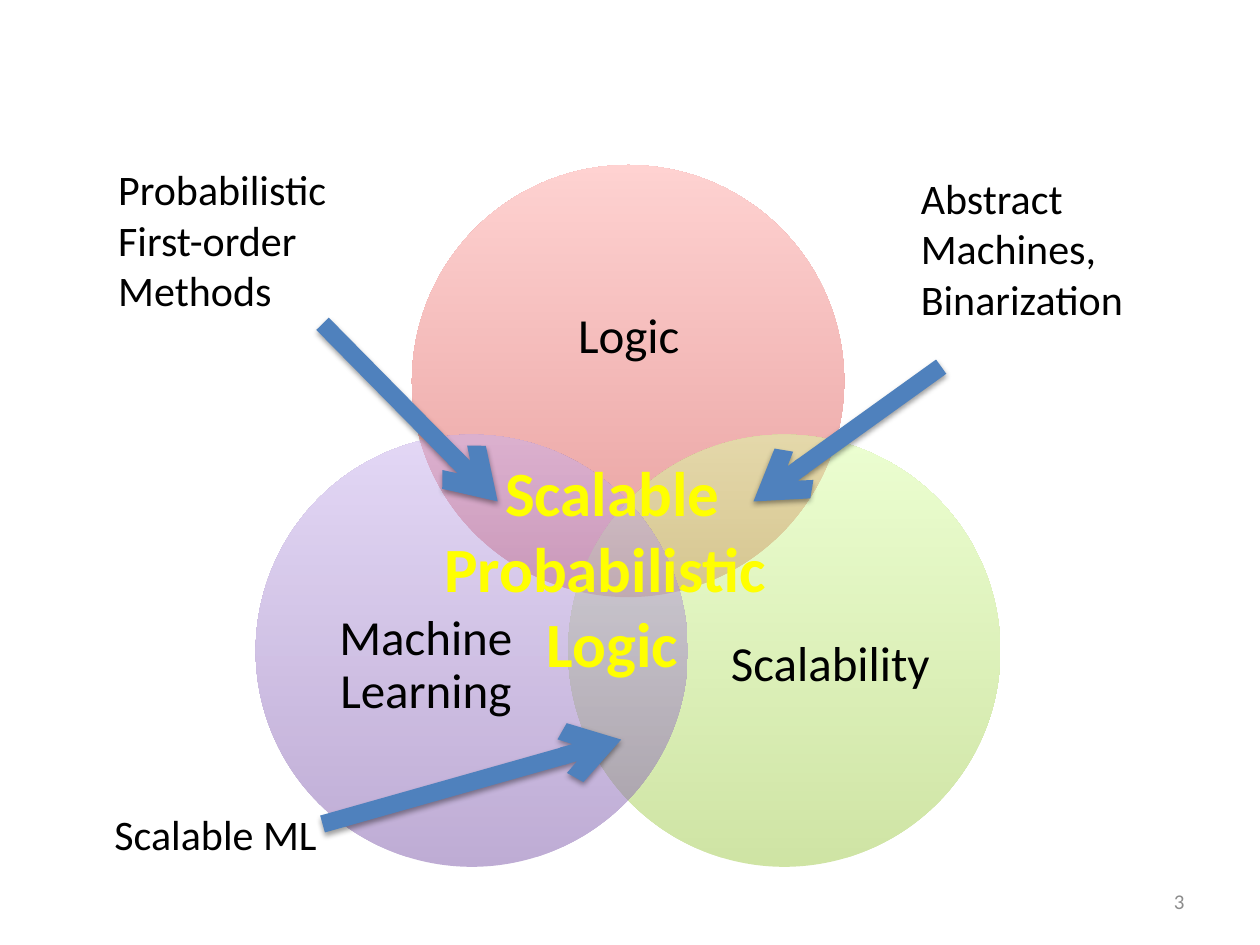
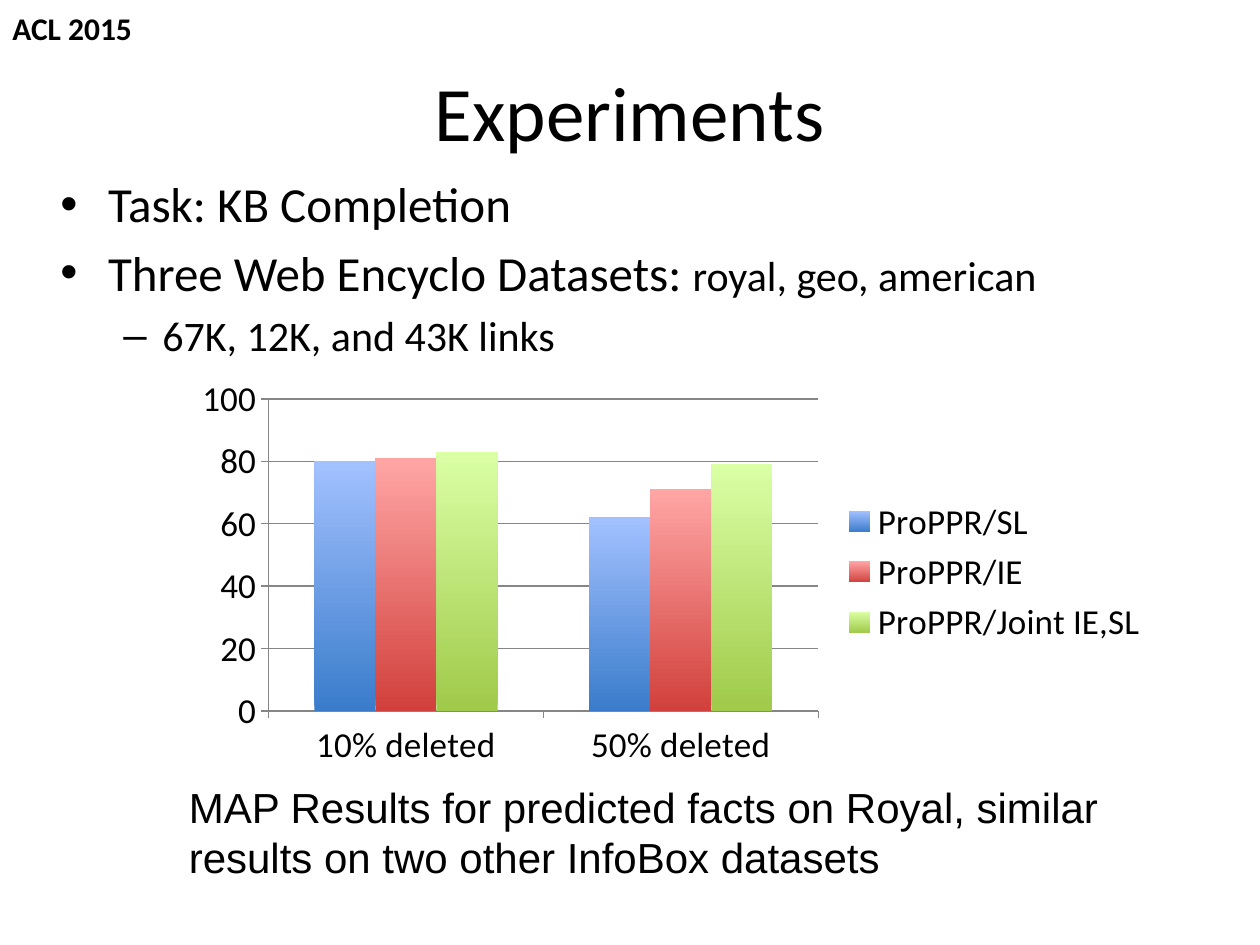
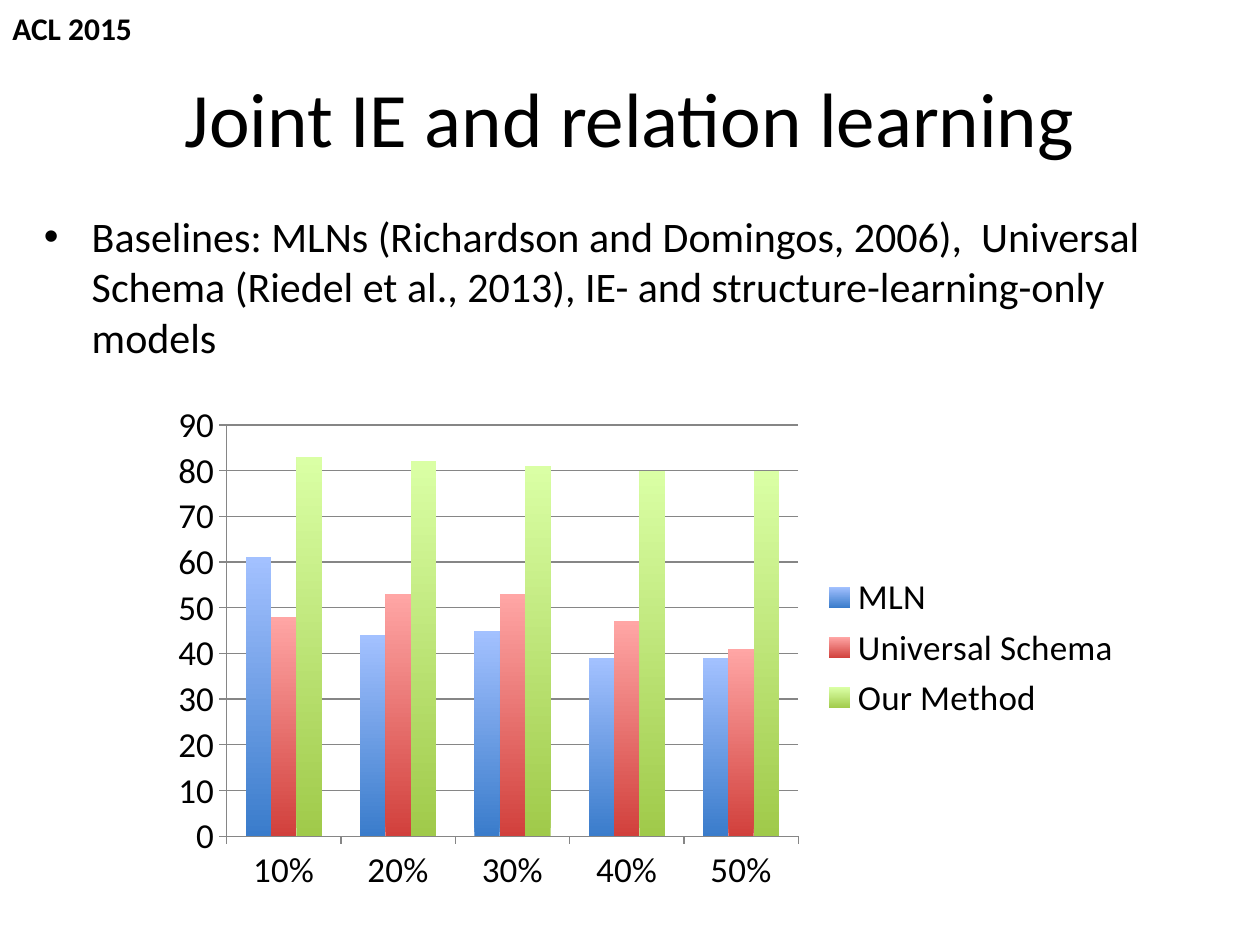
import lxml.etree
import pptx
import pptx.chart.data
import pptx.dml.color
import pptx.enum.chart
import pptx.enum.shapes
import pptx.enum.text
import pptx.oxml.ns
import pptx.util

RGBColor = pptx.dml.color.RGBColor
BLACK = RGBColor(0x00, 0x00, 0x00)
YELLOW = RGBColor(0xFF, 0xFF, 0x00)
GRAY = RGBColor(0x8C, 0x8C, 0x8C)
GRID_GRAY = RGBColor(0x86, 0x86, 0x86)
ARROW_BLUE = RGBColor(0x4F, 0x81, 0xBD)
BLUES = (RGBColor(0x3A, 0x7C, 0xCB), RGBColor(0xA3, 0xC1, 0xFF))
REDS = (RGBColor(0xD1, 0x40, 0x3C), RGBColor(0xFF, 0xA6, 0xA5))
GREENS = (RGBColor(0xA0, 0xCA, 0x4A), RGBColor(0xDA, 0xFF, 0xA5))
PURPLES = (RGBColor(0x7F, 0x5B, 0xAB), RGBColor(0xC8, 0xB0, 0xED))

CENTER = pptx.enum.text.PP_ALIGN.CENTER
RIGHT = pptx.enum.text.PP_ALIGN.RIGHT
TOP = pptx.enum.text.MSO_ANCHOR.TOP
MIDDLE = pptx.enum.text.MSO_ANCHOR.MIDDLE

PX_PER_INCH = 100
EMU_PER_PX = 914400 // PX_PER_INCH
BULLETS = (("•", 38, -38), ("–", 81, -31))


def px(length):
    return pptx.util.Emu(length * EMU_PER_PX)


def add_element(parent, tag, **attributes):
    element = lxml.etree.SubElement(parent, pptx.oxml.ns.qn(tag))
    for name, value in attributes.items():
        element.set(name, str(value))
    return element


def add_shadow(properties, blur, distance, direction, alpha):
    effects = add_element(properties, "a:effectLst")
    shadow = add_element(effects, "a:outerShdw", blurRad=blur, dist=distance,
                         dir=direction * 60000, rotWithShape=0)
    color = add_element(shadow, "a:srgbClr", val="000000")
    add_element(color, "a:alpha", val=alpha * 1000)


def fill_gradient(fill, colors, alpha=100):
    fill.gradient()
    fill.gradient_angle = 90
    for stop, color in zip(fill.gradient_stops, colors):
        stop.color.rgb = color
    if alpha < 100:
        for color in fill._xPr.iter(pptx.oxml.ns.qn("a:srgbClr")):
            add_element(color, "a:alpha", val=alpha * 1000)


def write_text(paragraph, text, size=24, font="Calibri", color=BLACK, bold=False,
               alignment=None, line_spacing=None, indent=0, shadow=False):
    if alignment is not None:
        paragraph.alignment = alignment
    if line_spacing is not None:
        paragraph.line_spacing = line_spacing
    if indent:
        paragraph._p.get_or_add_pPr().set("marL", str(px(indent)))
    run = paragraph.add_run()
    run.text = text
    run.font.size = pptx.util.Pt(size)
    run.font.bold = bold
    run.font.color.rgb = color
    if shadow:
        add_shadow(run._r.get_or_add_rPr(), 50800, 38100, 45, 50)
    run.font.name = font


class Deck:
    def __init__(self):
        self.presentation = pptx.Presentation()
        self.presentation.slide_width = px(1000)
        self.presentation.slide_height = px(750)
        self.slide = None

    def add_blank_slide(self):
        self.slide = self.presentation.slides.add_slide(self.presentation.slide_layouts[6])

    def add_titled_slide(self, title, top):
        self.slide = self.presentation.slides.add_slide(self.presentation.slide_layouts[5])
        shape = self.slide.shapes.title
        shape.left, shape.top, shape.width, shape.height = map(px, (50, top, 900, 125))
        shape.text_frame.vertical_anchor = MIDDLE
        write_text(shape.text_frame.paragraphs[0], title, size=44, alignment=CENTER)
        self.add_text((0, 2, 116, 40), "ACL 2015", wrap=False, size=18, bold=True)

    def add_frame(self, box, anchor=TOP, wrap=True):
        frame = self.slide.shapes.add_textbox(*map(px, box)).text_frame
        frame.word_wrap = wrap
        frame.vertical_anchor = anchor
        return frame

    def add_text(self, box, *lines, anchor=TOP, wrap=True, inset=True, **text_format):
        frame = self.add_frame(box, anchor, wrap)
        if not inset:
            frame.margin_left = frame.margin_right = 0
            frame.margin_top = frame.margin_bottom = 0
        for index, line in enumerate(lines):
            paragraph = frame.add_paragraph() if index else frame.paragraphs[0]
            write_text(paragraph, line, **text_format)

    def add_bullets(self, box, *items):
        frame = self.add_frame(box)
        for index, (level, *runs) in enumerate(items):
            paragraph = frame.add_paragraph() if index else frame.paragraphs[0]
            paragraph.level = level
            character, margin, indent = BULLETS[level]
            properties = paragraph._p.get_or_add_pPr()
            properties.set("marL", str(px(margin)))
            properties.set("indent", str(px(indent)))
            add_element(properties, "a:buFont", typeface="Arial")
            add_element(properties, "a:buChar", char=character)
            if index:
                paragraph.space_before = pptx.util.Pt(round(runs[0][1] * 0.2, 1))
            for text, size in runs:
                write_text(paragraph, text, size=size)

    def add_circle(self, left, top, diameter, colors, label, label_box):
        shape = self.slide.shapes.add_shape(
            pptx.enum.shapes.MSO_SHAPE.OVAL, *map(px, (left, top, diameter, diameter)))
        shape.shadow.inherit = False
        shape.line.fill.background()
        fill_gradient(shape.fill, colors, alpha=50)
        self.add_text(label_box, label, anchor=MIDDLE, inset=False, size=28,
                      alignment=CENTER, line_spacing=0.9)

    def add_arrow(self, start, end):
        connector = self.slide.shapes.add_connector(
            pptx.enum.shapes.MSO_CONNECTOR.STRAIGHT, *map(px, (*start, *end)))
        connector.line.color.rgb = ARROW_BLUE
        connector.line.width = pptx.util.Pt(10)
        add_element(connector.line._get_or_add_ln(), "a:tailEnd", type="arrow")
        add_shadow(connector._element.spPr, 40000, 20000, 90, 38)

    def add_column_chart(self, box, categories, series_values, maximum, step):
        data = pptx.chart.data.CategoryChartData()
        data.categories = categories
        for name, values in series_values.items():
            data.add_series(name, values)
        chart = self.slide.shapes.add_chart(
            pptx.enum.chart.XL_CHART_TYPE.COLUMN_CLUSTERED, *map(px, box), data).chart
        chart.has_title = False
        chart.font.size = pptx.util.Pt(20)
        chart.font.name = "Calibri"
        chart.font.color.rgb = BLACK
        chart.has_legend = True
        chart.legend.position = pptx.enum.chart.XL_LEGEND_POSITION.RIGHT
        chart.legend.include_in_layout = False
        axis = chart.value_axis
        axis.minimum_scale = 0
        axis.maximum_scale = maximum
        axis.major_unit = step
        axis.has_major_gridlines = True
        lines = [axis.major_gridlines.format.line]
        for each_axis in (chart.category_axis, axis):
            each_axis.major_tick_mark = pptx.enum.chart.XL_TICK_MARK.OUTSIDE
            lines.append(each_axis.format.line)
        for line in lines:
            line.color.rgb = GRID_GRAY
            line.width = pptx.util.Pt(0.75)
        plot = chart.plots[0]
        plot.gap_width = 150
        plot.overlap = 0
        plot.vary_by_categories = False
        for series, colors in zip(plot.series, (BLUES, REDS, GREENS)):
            fill_gradient(series.format.fill, colors)


def build_overview(deck):
    deck.add_blank_slide()
    circles = (
        (327, 131, REDS, "Logic", (373, 191, 252, 154)),
        (451, 345, GREENS, "Scalability", (556, 434, 206, 189)),
        (203, 345, PURPLES, "Machine Learning", (235, 434, 206, 189)),
    )
    for left, top, colors, label, label_box in circles:
        deck.add_circle(left, top, 343, colors, label, label_box)
    for start, end in (((747, 291), (598, 398)),
                       ((256, 257), (395, 398)),
                       ((256, 654), (493, 587))):
        deck.add_arrow(start, end)
    deck.add_text((721, 132, 190, 131), "Abstract Machines, Binarization")
    deck.add_text((84, 125, 190, 131), "Probabilistic", "First-order", "Methods")
    deck.add_text((81, 637, 190, 50), "Scalable ML")
    deck.add_text((717, 695, 233, 40), "3", anchor=MIDDLE, size=12, color=GRAY,
                  alignment=RIGHT)
    deck.add_text((286, 355, 400, 192), "Scalable Probabilistic ", "Logic", size=36,
                  color=YELLOW, bold=True, alignment=CENTER, shadow=True)


def build_experiments(deck):
    deck.add_titled_slide("Experiments", 25)
    deck.add_bullets(
        (38, 133, 925, 317),
        (0, ("Task: KB Completion", 28)),
        (0, ("Three Web Encyclo Datasets: ", 28), ("royal, geo, american", 24)),
        (1, ("67K, 12K, and 43K links", 24)))
    deck.add_text((90, 615, 858, 91),
                  "MAP Results for predicted facts on Royal, similar results on two "
                  "other InfoBox datasets", font="Arial", indent=50)
    deck.add_column_chart(
        (145, 293, 777, 322), ("10% deleted", "50% deleted"),
        {"ProPPR/SL": (80, 62), "ProPPR/IE": (81, 71), "ProPPR/Joint IE,SL": (83, 79)},
        maximum=100, step=20)


def build_joint_learning(deck):
    deck.add_titled_slide("Joint IE and relation learning", 30)
    deck.add_bullets(
        (25, 162, 926, 139),
        (0, ("Baselines: MLNs (Richardson and Domingos, 2006),  Universal Schema "
             "(Riedel et al., 2013), IE- and structure-learning-only models", 24)))
    deck.add_column_chart(
        (126, 312, 775, 404), [f"{percent}%" for percent in range(10, 60, 10)],
        {"MLN": (61, 44, 45, 39, 39),
         "Universal Schema": (48, 53, 53, 47, 41),
         "Our Method": (83, 82, 81, 80, 80)},
        maximum=90, step=10)


def main():
    deck = Deck()
    build_overview(deck)
    build_experiments(deck)
    build_joint_learning(deck)
    deck.presentation.save("out.pptx")


if __name__ == "__main__":
    main()
